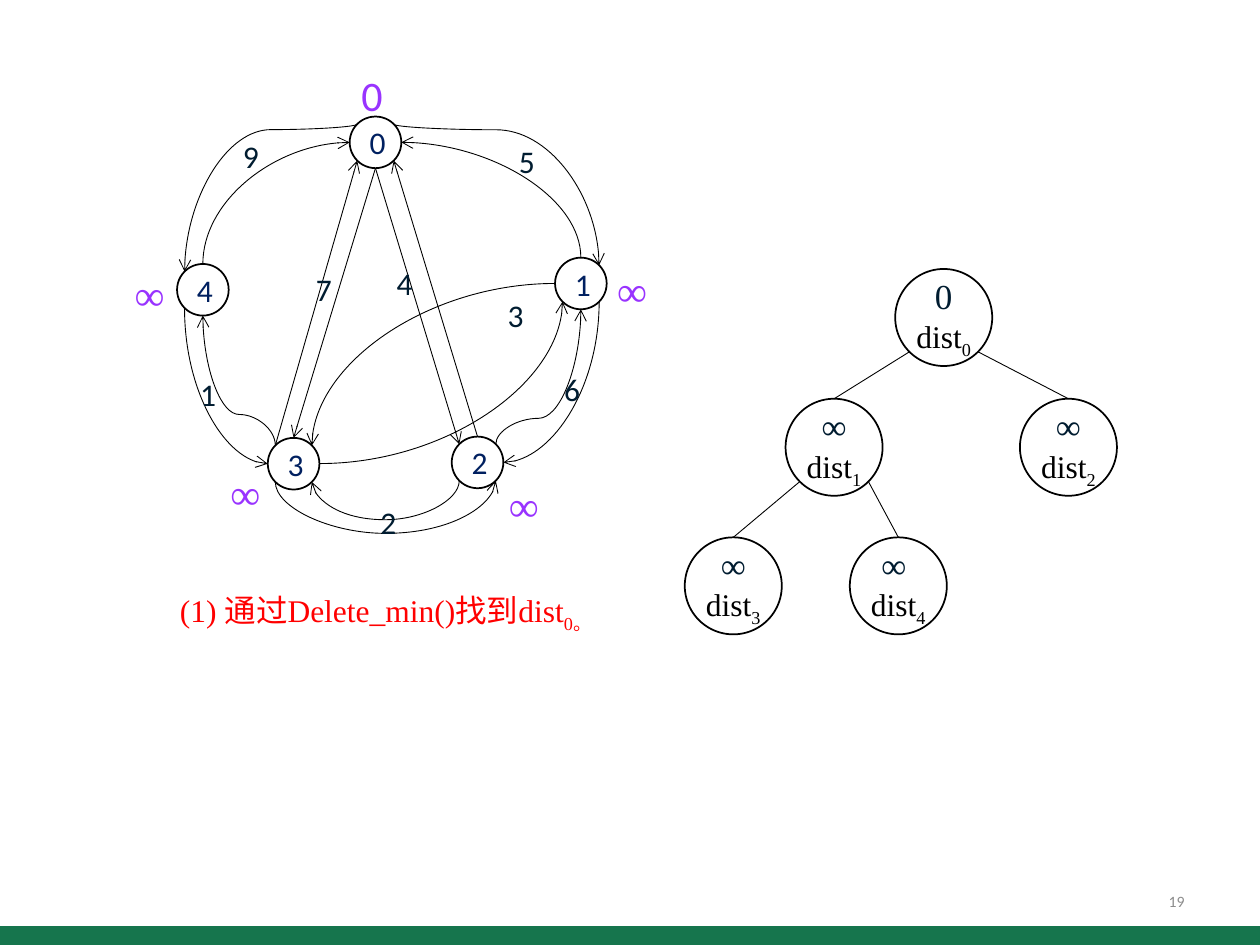
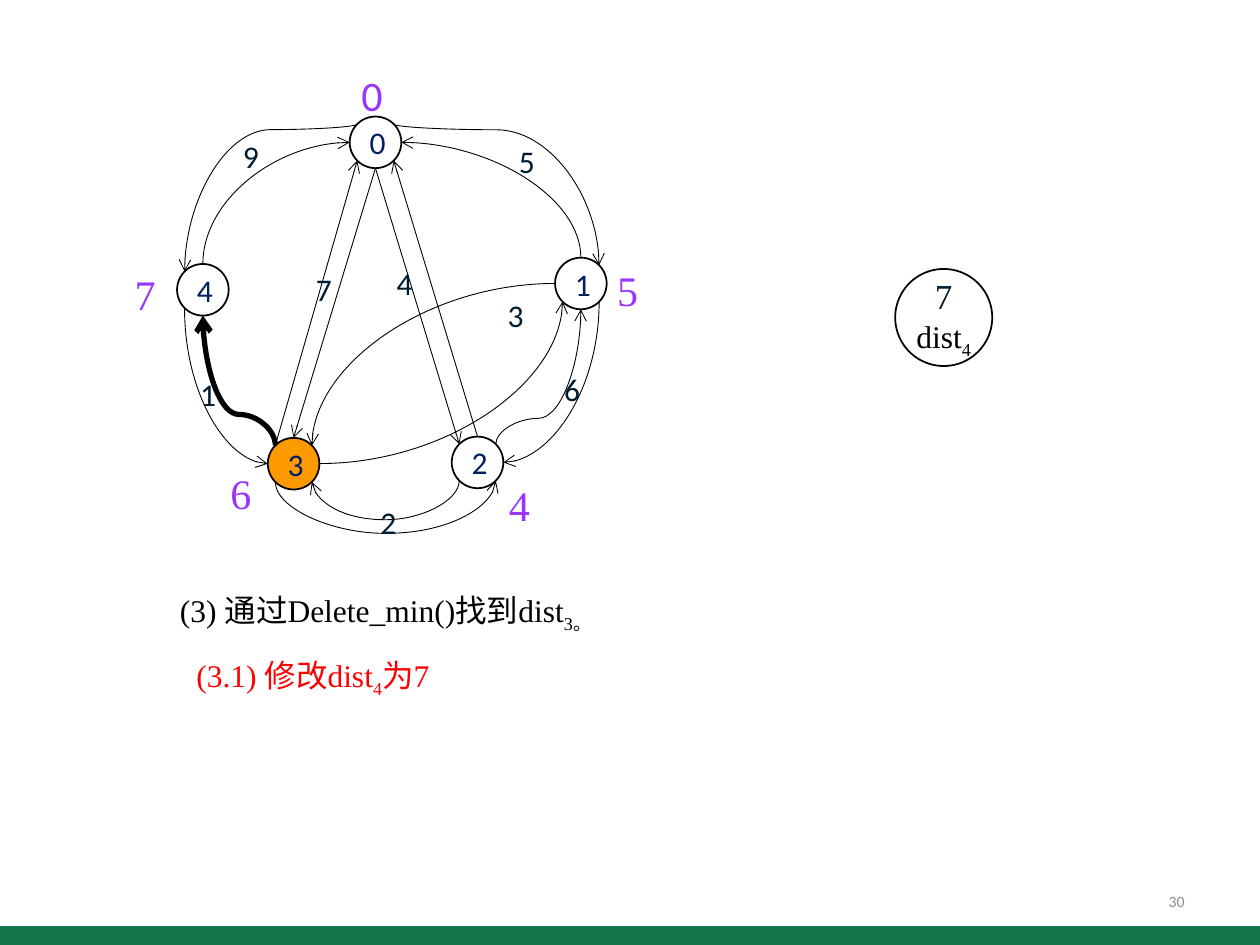
from math import sqrt

from lxml import etree
from pptx import Presentation
from pptx.dml.color import RGBColor
from pptx.enum.shapes import MSO_CONNECTOR, MSO_SHAPE
from pptx.enum.text import MSO_ANCHOR, PP_ALIGN
from pptx.oxml.ns import qn
from pptx.util import Inches, Pt

OVAL, RECTANGLE = MSO_SHAPE.OVAL, MSO_SHAPE.RECTANGLE
STRAIGHT, CURVE = MSO_CONNECTOR.STRAIGHT, MSO_CONNECTOR.CURVE
TOP, MIDDLE = MSO_ANCHOR.TOP, MSO_ANCHOR.MIDDLE
LEFT, CENTER, RIGHT = PP_ALIGN.LEFT, PP_ALIGN.CENTER, PP_ALIGN.RIGHT

WIDTH, HEIGHT = 10, 7.5
SANS, SERIF = "Calibri", "Times New Roman"
COLORS = {"band": "16754D", "number": "8C8C8C", "ink": "000000", "node": "002060",
          "weight": "001C30", "distance": "9933FF", "current": "FF0000", "visited": "FF9900"}

# Graph: node centres, and the corner of each distance label
VERTEX_SIZE = 0.41
VERTICES = {"0": (2.98, 1.13), "4": (1.61, 2.3), "3": (2.33, 3.68),
            "2": (3.79, 3.67), "1": (4.61, 2.25)}
DISTANCE_CORNERS = {"0": (2.77, 0.5), "1": (4.8, 2.05), "2": (3.94, 3.76),
                    "3": (1.73, 3.66), "4": (0.97, 2.08)}
# source, its site, target, its site, first axis (None is straight), height of the bend
EDGES = [
    ("0", "tl", "4", "tl", "v", 1.03), ("4", "bl", "3", "l", "v", None),
    ("0", "tr", "1", "tr", "v", 1.03), ("3", "bl", "2", "br", "v", 4.24),
    ("1", "br", "2", "r", "v", None), ("0", "b", "2", "tl", None, None),
    ("0", "b", "3", "t", None, None), ("1", "l", "3", "tr", "h", None),
    ("2", "bl", "3", "br", "v", 4.13), ("3", "r", "1", "bl", "h", None),
    ("3", "tl", "4", "b", "v", 3.29), ("2", "tr", "1", "b", "v", 3.32),
    ("4", "t", "0", "l", "v", None), ("1", "t", "0", "r", "v", None),
    ("3", "tl", "0", "bl", None, None), ("2", "t", "0", "br", None, None),
]
WEIGHTS = [("9", 1.83, 1.04), ("5", 4.02, 1.08), ("4", 3.05, 2.05), ("7", 2.41, 2.09),
           ("1", 1.49, 2.93), ("2", 2.92, 3.94), ("3", 3.93, 2.3), ("6", 4.38, 2.89)]

# Heap: centres in array order, so the parent of i is (i - 1) // 2
HEAP_SIZE = 0.77
HEAP_CENTERS = [(7.49, 2.52), (6.62, 3.55), (8.48, 3.55), (5.82, 4.65), (7.13, 4.65)]

SUB = {"baseline": -25000}
PAGES = [
    {"number": "19", "distances": "0∞∞∞∞", "visited": None, "thick": None,
     "heap": [("0", "0"), ("∞", "1"), ("∞", "2"), ("∞", "3"), ("∞ ", "4")],
     "steps": [((1.33, 4.64, 3.98, 0.4), "current",
                [("(1) 通过Delete_min()找到dist", {}), ("0。", SUB)])]},
    {"number": "30", "distances": "05467", "visited": "3", "thick": ("3", "4"),
     "heap": [("7", "4")],
     "steps": [((1.33, 4.64, 3.98, 0.4), "ink",
                [("(3) 通过Delete_min()找到dist", {}), ("3。", SUB)]),
               ((1.46, 5.16, 2.89, 0.4), "current",
                [("(3.1) 修改dist", {}), ("4", SUB), ("为7", {})])]},
]


def color(name):
    return RGBColor.from_string(COLORS[name])


def write(shape, spans, font=SANS, size=18, ink="ink", align=LEFT, anchor=TOP,
          wrap=True, inset=None):
    """Fill a shape with one paragraph of (text, format) spans; "\\n" breaks the line."""
    frame = shape.text_frame
    frame.word_wrap, frame.vertical_anchor = wrap, anchor
    if inset is not None:
        frame.margin_left = frame.margin_right = Inches(inset)
        frame.margin_top = frame.margin_bottom = Inches(inset)
    para = frame.paragraphs[0]
    para.alignment = align
    for text, style in spans:
        if text == "\n":
            para.add_line_break()
            continue
        span = para.add_run()
        span.text = text
        span.font.name = font
        span.font.size = Pt(style.get("size", size))
        span.font.color.rgb = color(style.get("ink", ink))
        if "baseline" in style:
            span.font._element.set("baseline", str(style["baseline"]))


def add_text(page, area, spans, **style):
    write(page.shapes.add_textbox(*map(Inches, area)), spans, **style)


def add_shape(page, kind, area, fill=None, line=None):
    shape = page.shapes.add_shape(kind, *map(Inches, area))
    shape.shadow.inherit = False
    if fill:
        shape.fill.solid()
        shape.fill.fore_color.rgb = color(fill)
    else:
        shape.fill.background()
    if line:
        shape.line.color.rgb = color(line)
        shape.line.width = Pt(1)
    else:
        shape.line.fill.background()
    return shape


def add_circle(page, center, size, spans, fill=None, **style):
    area = (center[0] - size / 2, center[1] - size / 2, size, size)
    circle = add_shape(page, OVAL, area, fill, "ink")
    write(circle, spans, align=CENTER, anchor=MIDDLE, **style)


def site(center, size, name):
    """Point on a circle: t, b, l, r or a diagonal such as tl."""
    reach = size / 2 / sqrt(len(name))
    across = ("r" in name) - ("l" in name)
    down = ("b" in name) - ("t" in name)
    return center[0] + across * reach, center[1] + down * reach


def add_line(page, start, end, axis=None, bend=None, width=0.5, arrow=False):
    kind = CURVE if axis else STRAIGHT
    line = page.shapes.add_connector(kind, *map(Inches, start + end))
    line.line.color.rgb = color("ink")
    line.line.width = Pt(width)
    properties = line._element.spPr
    if arrow:
        etree.SubElement(line.line._get_or_add_ln(), qn("a:tailEnd"), type="arrow")
    etree.SubElement(properties, qn("a:effectLst"))
    if axis:
        curve(line, start, end, axis, bend)


def curve(line, start, end, axis, bend):
    """Turn the connector so that it leaves along the axis; a bend makes an S or a U."""
    across, down = end[0] - start[0], end[1] - start[1]
    if axis == "h":
        long, wide = abs(across), abs(down)
        turn, flip = (0, down < 0) if across > 0 else (180, down > 0)
    else:
        long, wide = abs(down), abs(across)
        turn, flip = (90, across > 0) if down > 0 else (270, across < 0)
    line.left = Inches((start[0] + end[0] - long) / 2)
    line.top = Inches((start[1] + end[1] - wide) / 2)
    line.width, line.height = Inches(long), Inches(wide)
    frame = line._element.spPr.find(qn("a:xfrm"))
    frame.set("rot", str(turn * 60000))
    frame.set("flipH", "0")
    frame.set("flipV", str(int(flip)))
    geometry = line._element.spPr.find(qn("a:prstGeom"))
    geometry.set("prst", "curvedConnector3" if bend else "curvedConnector2")
    if bend:
        share = round((bend - start[1]) / down * 100000)
        guides = geometry.find(qn("a:avLst"))
        if guides is None:
            guides = etree.SubElement(geometry, qn("a:avLst"))
        etree.SubElement(guides, qn("a:gd"), name="adj1", fmla=f"val {share}")


def draw_frame(page, number):
    add_shape(page, RECTANGLE, (0, 0.98 * HEIGHT, WIDTH, 0.02 * HEIGHT), "band")
    add_text(page, (7.17, 6.95, 2.33, 0.4), [(number, {})], size=9, ink="number",
             align=RIGHT, anchor=MIDDLE)


def draw_graph(page, distances, visited, thick):
    for name, center in VERTICES.items():
        add_circle(page, center, VERTEX_SIZE, [(name, {})],
                   fill="visited" if name == visited else None, ink="node")
    for source, leave, target, arrive, axis, bend in EDGES:
        add_line(page, site(VERTICES[source], VERTEX_SIZE, leave),
                 site(VERTICES[target], VERTEX_SIZE, arrive), axis, bend,
                 width=3 if (source, target) == thick else 0.5, arrow=True)
    for weight, left, top in WEIGHTS:
        add_text(page, (left, top, 0.34, 0.4), [(weight, {})], ink="weight", wrap=False)
    for (name, corner), distance in zip(DISTANCE_CORNERS.items(), distances):
        box_width = 0.44 if distance == "∞" else 0.37
        add_text(page, corner + (box_width, 0.5), [(distance, {})], size=24,
                 font=SANS if name == "0" else SERIF, ink="distance", wrap=False)


def draw_heap(page, entries):
    for index, (value, name) in enumerate(entries):
        center = HEAP_CENTERS[index]
        if index:
            parent = HEAP_CENTERS[(index - 1) // 2]
            add_line(page, site(center, HEAP_SIZE, "t"),
                     site(parent, HEAP_SIZE, "bl" if index % 2 else "br"))
        spans = [(value, {"size": 20, "ink": "weight"}), ("\n", {}), ("dist", {}), (name, SUB)]
        add_circle(page, center, HEAP_SIZE, spans, font=SERIF, inset=0)


def main():
    deck = Presentation()
    deck.slide_width, deck.slide_height = Inches(WIDTH), Inches(HEIGHT)
    for content in PAGES:
        page = deck.slides.add_slide(deck.slide_layouts[6])
        draw_frame(page, content["number"])
        draw_graph(page, content["distances"], content["visited"], content["thick"])
        draw_heap(page, content["heap"])
        for area, ink, spans in content["steps"]:
            add_text(page, area, spans, font=SERIF, ink=ink)
    deck.save("out.pptx")


if __name__ == "__main__":
    main()
